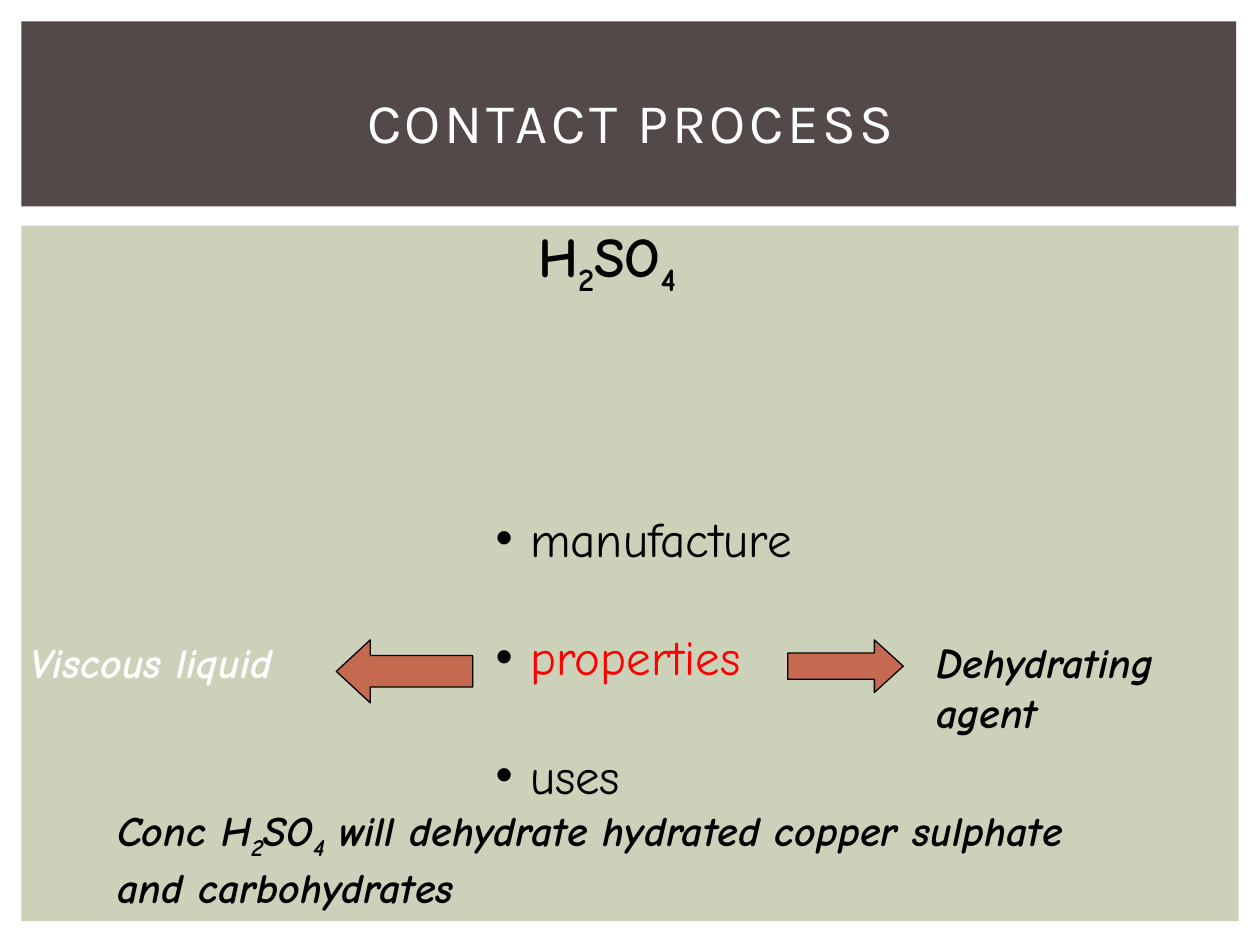
from itertools import groupby

from lxml import etree
from pptx import Presentation
from pptx import util as u
from pptx.dml.color import RGBColor
from pptx.enum import shapes, text
from pptx.oxml.ns import qn

FONT = "Comic Neue"
BLACK, WHITE, RED = "000000", "FFFFFF", "FF0000"
SAGE, BROWN, RUST = "CCD1B9", "534949", "C66951"


def color(code):
    return RGBColor.from_string(code)


def cm(*vals):
    return [u.Cm(v) for v in vals]


def add_run(para, words, size, ink=BLACK, bold=False, slant=False, face=FONT):
    run = para.add_run()
    run.text = words
    font = run.font
    font.name, font.size = face, u.Pt(size)
    font.bold, font.italic = bold, slant
    font.color.rgb = color(ink)
    return run


def add_shape(slide, kind, box, fill, line=None, head=None):
    """Draw a preset shape; head is the arrowhead length ratio."""
    shape = slide.shapes.add_shape(kind, *cm(*box))
    shape.shadow.inherit = False
    shape.fill.solid()
    shape.fill.fore_color.rgb = color(fill)
    if line:
        shape.line.color.rgb = color(line)
        shape.line.width = u.Pt(0.75)
    else:
        shape.line.fill.background()
    if head:
        shape.adjustments[1] = head


def add_frame(slide, box):
    frame = slide.shapes.add_textbox(*cm(*box)).text_frame
    frame.word_wrap = False
    return frame


def add_label(slide, box, lines, size=24, ink=BLACK, slant=True):
    """Add bold lines of text, with every digit set as a subscript."""
    frame = add_frame(slide, box)
    for i, line in enumerate(lines):
        para = frame.add_paragraph() if i else frame.paragraphs[0]
        for low, part in groupby(line, str.isdigit):
            run = add_run(para, "".join(part), size, ink, True, slant)
            if low:
                run.font._element.set("baseline", "-25000")


def add_bullet(para):
    props = para._p.get_or_add_pPr()
    props.set("marL", str(u.Cm(0.7)))
    props.set("indent", str(u.Cm(-0.7)))
    tint = etree.SubElement(props, qn("a:buClr"))
    etree.SubElement(tint, qn("a:srgbClr")).set("val", BLACK)
    etree.SubElement(props, qn("a:buFont")).set("typeface", "Arial")
    etree.SubElement(props, qn("a:buChar")).set("char", "•")


def add_list(slide, box, items):
    frame = add_frame(slide, box)
    for i, (words, ink) in enumerate(items):
        para = frame.add_paragraph() if i else frame.paragraphs[0]
        add_bullet(para)
        if i:
            para.space_before = u.Pt(34)
        add_run(para, words, 28, ink)


def set_title(slide, box, words):
    title = slide.shapes.title
    title.left, title.top, title.width, title.height = cm(*box)
    frame = title.text_frame
    frame.vertical_anchor = text.MSO_ANCHOR.MIDDLE
    para = frame.paragraphs[0]
    para.alignment = text.PP_ALIGN.CENTER
    run = add_run(para, words, 32, WHITE, face="Karla")
    run.font._element.set("spc", "200")
    slide.shapes._spTree.append(title._element)  # in front of the band


def main():
    prs = Presentation()
    prs.slide_width, prs.slide_height = cm(25.4, 19.05)
    slide = prs.slides.add_slide(prs.slide_layouts[5])
    kind = shapes.MSO_SHAPE

    add_shape(slide, kind.RECTANGLE, (0.43, 4.55, 24.54, 14.02), SAGE)
    add_shape(slide, kind.RECTANGLE, (0.43, 0.43, 24.49, 3.73), BROWN)
    set_title(slide, (1.07, 0.99, 23.29, 2.92), "CONTACT PROCESS")

    add_label(slide, (10.6, 4.34, 3.96, 1.6), ["H2SO4"], 32, slant=False)
    add_list(slide, (9.74, 10.13, 7, 6.2),
             [("manufacture", BLACK), ("properties", RED), ("uses", BLACK)])
    add_shape(slide, kind.LEFT_ARROW, (6.78, 12.9, 2.75, 1.27),
              RUST, BLACK, 0.54)
    add_shape(slide, kind.RIGHT_ARROW, (15.88, 12.9, 2.33, 1.06),
              RUST, BLACK, 0.55)
    add_label(slide, (18.63, 12.7, 5.82, 2.29), ["Dehydrating", "agent"])
    add_label(slide, (0.36, 12.7, 5.92, 1.27), ["Viscous liquid"], ink=WHITE)
    add_label(slide, (2.12, 16.09, 22.35, 2.29),
              ["Conc H2SO4 will dehydrate hydrated copper sulphate",
               "and carbohydrates"])
    prs.save("out.pptx")


if __name__ == "__main__":
    main()
